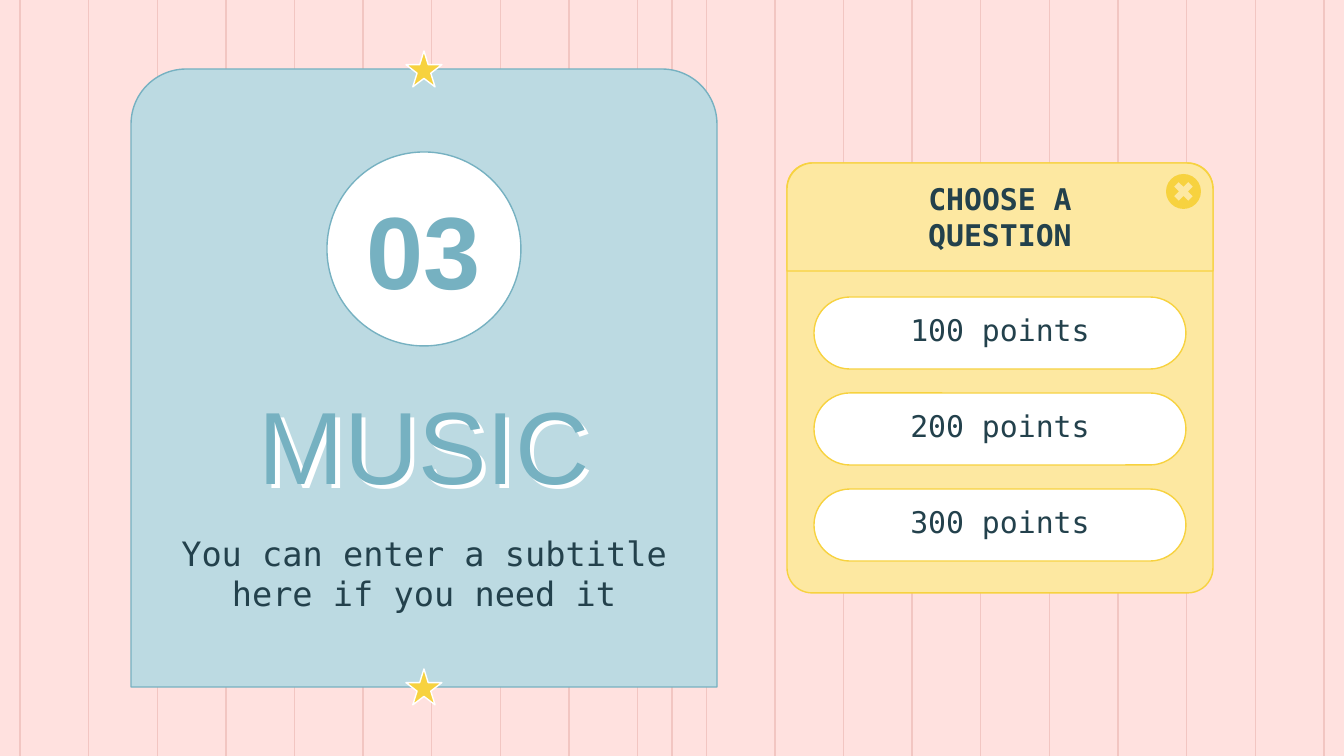
from lxml import etree
from pptx import Presentation
from pptx.dml.color import RGBColor
from pptx.enum.shapes import MSO_CONNECTOR, MSO_SHAPE as SHAPE
from pptx.enum.text import MSO_ANCHOR, MSO_AUTO_SIZE, PP_ALIGN
from pptx.oxml.ns import qn
from pptx.util import Pt

W, H = 1344, 756
SCALE = 9144000 / W
COLORS = {
    "pink": "FFE1DF", "stripe": "F2C6C2", "pale_blue": "BCDAE2", "blue": "76B1C1",
    "yellow": "F7D23F", "pale_yellow": "FDE8A1", "white": "FFFFFF", "ink": "23414C",
}
SANS, MONO = "Arial", "DejaVu Sans Mono"

TITLE = "MUSIC"
NUMBER = "03"
SUBTITLE = "You can enter a subtitle here if you need it"
HEADING = "CHOOSE A QUESTION"
ANSWERS = ["100 points", "200 points", "300 points"]

PANEL = (131, 69, 586, 618)
CARD = (787, 163, 426, 430)
HEADER_H = 108
STAR = 36
STRIPES, STRIPE_FIRST, STRIPE_LAST = 20, 20, 1324
BUTTON_H, BUTTON_STEP, BUTTON_INSET = 72, 96, 27


def px(n):
    return round(n * SCALE)


def rgb(name):
    return RGBColor.from_string(COLORS[name])


def place(sp, box):
    sp.left, sp.top, sp.width, sp.height = map(px, box)


def add_shape(kind, box, fill, line=None, adj=()):
    sp = slide.shapes.add_shape(kind, *map(px, box))
    sp.shadow.inherit = False
    sp.fill.solid()
    sp.fill.fore_color.rgb = rgb(fill)
    if line:
        sp.line.color.rgb = rgb(line)
        sp.line.width = Pt(0.75)
    else:
        sp.line.fill.background()
    for i, value in enumerate(adj):
        sp.adjustments[i] = value
    return sp


def add_stripe(x):
    line = slide.shapes.add_connector(MSO_CONNECTOR.STRAIGHT, px(x), 0, px(x), px(H))
    line.line.color.rgb = rgb("stripe")
    line.line.width = Pt(0.75)
    etree.SubElement(line._element.spPr, qn("a:effectLst"))


def write(sp, text, font, size, color, bold=False, insets=(13, 13, 13, 13), spacing=1.0):
    tf = sp.text_frame
    tf.word_wrap = True
    tf.auto_size = MSO_AUTO_SIZE.NONE
    tf.vertical_anchor = MSO_ANCHOR.MIDDLE
    tf.margin_left, tf.margin_top, tf.margin_right, tf.margin_bottom = map(px, insets)
    p = tf.paragraphs[0]
    p.alignment = PP_ALIGN.CENTER
    p.line_spacing = spacing
    p.space_before = Pt(0)
    r = p.add_run()
    r.text = text
    r.font.name = font
    r.font.size = Pt(size)
    r.font.bold = bold
    r.font.color.rgb = rgb(color)


def add_text_shadow(sp, color):
    effects = etree.SubElement(sp._element.spPr, qn("a:effectLst"))
    shadow = etree.SubElement(effects, qn("a:outerShdw"), dist="38100", dir="2400000",
                              algn="bl", rotWithShape="0")
    etree.SubElement(shadow, qn("a:srgbClr"), val=COLORS[color])


prs = Presentation()
prs.slide_width, prs.slide_height = px(W), px(H)
slide = prs.slides.add_slide(prs.slide_layouts[0])
slide.background.fill.solid()
slide.background.fill.fore_color.rgb = rgb("pink")
title, subtitle = slide.placeholders

stripe_gap = (STRIPE_LAST - STRIPE_FIRST) / (STRIPES - 1)
for x in [W / 2] + [STRIPE_FIRST + i * stripe_gap for i in range(STRIPES)]:
    add_stripe(x)

left, top, width, height = PANEL
center = left + width / 2
add_shape(SHAPE.ROUND_2_SAME_RECTANGLE, PANEL, "pale_blue", "blue", (0.094, 0))
for y in (top, top + height):
    add_shape(SHAPE.STAR_5_POINT, (center - STAR / 2, y - STAR / 2, STAR, STAR), "yellow", "white")
add_shape(SHAPE.OVAL, (center - 97, 152, 194, 194), "white", "blue")

number = slide.shapes.add_textbox(*map(px, (center - 97, 180, 194, 136)))
write(number, NUMBER, SANS, 55, "blue", bold=True)
for sp, y, h in ((title, 387, 136), (subtitle, 521, 104)):
    place(sp, (center - 273, y, 546, h))
    slide.shapes._spTree.append(sp._element)
write(title, TITLE, SANS, 55, "blue", spacing=0.8)
add_text_shadow(title, "white")
write(subtitle, SUBTITLE, MONO, 18, "ink")

left, top, width, height = CARD
add_shape(SHAPE.ROUNDED_RECTANGLE, CARD, "pale_yellow", "yellow", (0.059,))
header = add_shape(SHAPE.ROUND_2_SAME_RECTANGLE, (left, top, width, HEADER_H),
                   "pale_yellow", "yellow", (0.242, 0))
write(header, HEADING, MONO, 16, "ink", bold=True, insets=(54, 4, 54, 13))
add_shape(SHAPE.OVAL, (1166, 174, 35, 35), "yellow")
add_shape(SHAPE.MATH_MULTIPLY, (1170, 178, 27, 27), "pale_yellow")

for i, answer in enumerate(ANSWERS):
    y = top + HEADER_H + 26 + i * BUTTON_STEP
    button = add_shape(SHAPE.ROUNDED_RECTANGLE,
                       (left + BUTTON_INSET, y, width - 2 * BUTTON_INSET, BUTTON_H),
                       "white", "yellow", (0.5,))
    write(button, answer, MONO, 16, "ink", insets=(13, 7, 13, 13))

prs.save("out.pptx")
